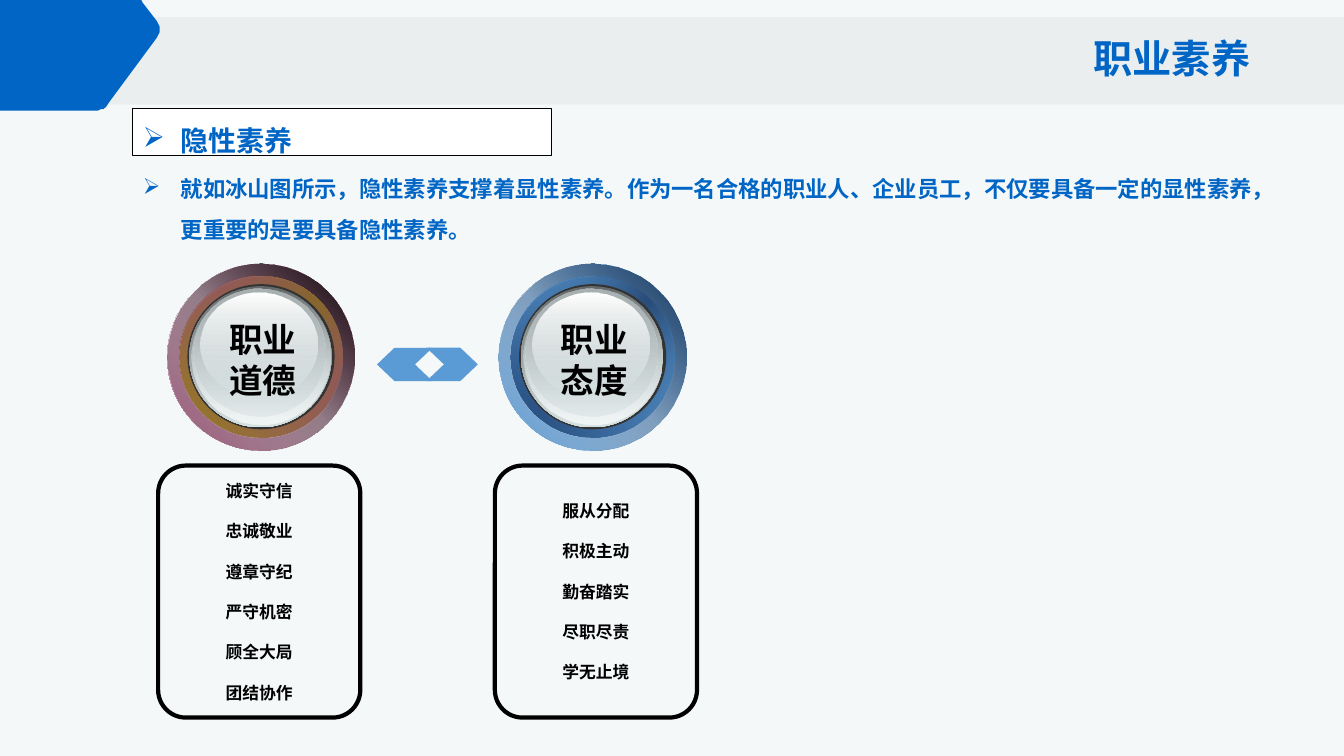
import pptx
import pptx.util
import pptx.dml.color
import pptx.enum.shapes
import pptx.enum.text
import pptx.oxml
import pptx.oxml.ns

Pt = pptx.util.Pt
MSO = pptx.enum.shapes.MSO_SHAPE
ANCHOR = pptx.enum.text.MSO_ANCHOR
ALIGN = pptx.enum.text.PP_ALIGN
A_NS = pptx.oxml.ns.nsdecls("a")

# Content
BLUE, SKY, BLACK, WHITE = "0065C4", "5B9BD5", "000000", "FFFFFF"
CJK = "Noto Sans CJK SC"
TITLE = "职业素养"
HEADING = "隐性素养"
INTRO = ("就如冰山图所示，隐性素养支撑着显性素养。作为一名合格的职业人、企业员工，"
         "不仅要具备一定的显性素养，更重要的是要具备隐性素养。")
TOPICS = [
    dict(name=["职业", "道德"], ring_x=119.5, box_x=113,
         items=["诚实守信", "忠诚敬业", "遵章守纪", "严守机密", "顾全大局", "团结协作"],
         main="954F72", shade=(BLACK, 90), middle="846A22", glow="9A7D28"),
    dict(name=["职业", "态度"], ring_x=356.4, box_x=353.5,
         items=["服从分配", "积极主动", "勤奋踏实", "尽职尽责", "学无止境"],
         main=SKY, shade=("1D385C", 100), middle="22416B", glow="274C7E"),
]
RING_Y = 188.6
# Button layers: inset from the ring's left and top, width, height
OUTER, INNER = (0, 0, 133.9, 133.2), (8.6, 8.6, 116.6, 115.2)
FACE_EDGE = (14.4, 14.4, 105.1, 103.7)
FACE = [  # stops: position, colour, opacity
    ((15.8, 15.8, 101.5, 100.8), [(0, "636869", 100), (100, "D6E1E2", 100)]),
    ((17.3, 16.6, 99.4, 97.9), [(0, "D6E1E2", 0), (100, "F1F5F5", 100)]),
    ((18.7, 17.3, 94.3, 91.4), [(0, "AAB2B3", 100), (100, "D6E1E2", 48)]),
    ((23.8, 20.2, 83.5, 74.2), [(0, WHITE, 100), (100, "D6E1E2", 38)]),
]
CHEVRONS = [(304.6, 36.7, 0), (269.3, 39.6, 180)]  # left, width, rotation


def rgb(value):
    return pptx.dml.color.RGBColor.from_string(value)


def color_xml(value, opacity):
    return f'<a:srgbClr val="{value}"><a:alpha val="{opacity * 1000}"/></a:srgbClr>'


def paint(sp, fill=None, opacity=100, line=None, width=0):
    sp.shadow.inherit = False
    if fill:
        sp.fill.solid()
        sp.fill.fore_color.rgb = rgb(fill)
        if opacity < 100:
            clr = sp.fill._xPr.find(".//" + pptx.oxml.ns.qn("a:srgbClr"))
            clr.append(pptx.oxml.parse_xml(f'<a:alpha {A_NS} val="{opacity * 1000}"/>'))
    else:
        sp.fill.background()
    if line:
        sp.line.color.rgb = rgb(line)
        sp.line.width = Pt(width)
    else:
        sp.line.fill.background()
    return sp


def add(kind, box, **style):
    return paint(s.shapes.add_shape(kind, *map(Pt, box)), **style)


def gradient_oval(box, stops, angle):
    sp = add(MSO.OVAL, box)
    stop_xml = "".join(f'<a:gs pos="{pos * 1000}">{color_xml(c, o)}</a:gs>'
                       for pos, c, o in stops)
    grad = pptx.oxml.parse_xml(
        f'<a:gradFill {A_NS} rotWithShape="1"><a:gsLst>{stop_xml}</a:gsLst>'
        f'<a:lin ang="{angle * 60000}" scaled="0"/></a:gradFill>')
    no_fill = sp._element.spPr.find(pptx.oxml.ns.qn("a:noFill"))
    no_fill.getparent().replace(no_fill, grad)


def write(sp, lines, size, color, font, align=ALIGN.LEFT, anchor=ANCHOR.TOP, wrap=True):
    tf = sp.text_frame
    tf.word_wrap = wrap
    tf.vertical_anchor = anchor
    tf.text = "\n".join(lines)
    for p in tf.paragraphs:
        p.alignment = align
        p.font.size, p.font.bold, p.font.name = Pt(size), True, font
        p.font.color.rgb = rgb(color)
        p.font._element.append(pptx.oxml.parse_xml(f'<a:ea {A_NS} typeface="{CJK}"/>'))
    return tf


def bullet(tf):
    p = tf.paragraphs[0]
    p.line_spacing = 1.5
    pPr = p._p.get_or_add_pPr()
    pPr.set("marL", str(Pt(27)))
    pPr.set("indent", str(-Pt(27)))
    pPr.find(pptx.oxml.ns.qn("a:defRPr")).addprevious(
        pptx.oxml.parse_xml(f'<a:buChar {A_NS} char="➢"/>'))


def curve(a, b, c, d, steps=6):
    for i in range(steps + 1):
        t = i / steps
        u = 1 - t
        yield tuple(u**3 * a[k] + 3 * u * u * t * b[k] + 3 * u * t * t * c[k] + t**3 * d[k]
                    for k in (0, 1))


prs = pptx.Presentation()
prs.slide_width, prs.slide_height = Pt(960), Pt(540)
s = prs.slides.add_slide(prs.slide_layouts[5])

# Background, header band and corner flag
add(MSO.RECTANGLE, (0, 0, 960, 540), fill="EAF2F5", opacity=50)
add(MSO.RECTANGLE, (0, 12.2, 960, 62.6), fill="3D3E3E", opacity=5)
outline = [(0, 79.2),
           *curve((66.2, 79.2), (69.8, 79.2), (74.2, 77.8), (76.3, 75.6)),
           (78.5, 73.4),
           *curve((112.3, 26.6), (114.5, 23), (114.5, 18.7), (111.6, 15.1)),
           (102.2, 2.2), (100.8, 0)]
builder = s.shapes.build_freeform(0, 0, scale=Pt(1))
builder.add_line_segments(outline)
paint(builder.convert_to_shape(), fill="0165C5")

# Heading and introduction
heading = add(MSO.RECTANGLE, (95, 77.8, 298.8, 33.1), fill=WHITE, line=BLACK, width=0.75)
bullet(write(heading, [HEADING], 20, BLUE, CJK, anchor=ANCHOR.MIDDLE))
intro = s.shapes.add_textbox(*map(Pt, (95, 112.3, 833.8, 65.5)))
bullet(write(intro, [INTRO], 16, BLUE, CJK))

# Topics: list box, glossy button, name
for topic in TOPICS:
    box = add(MSO.ROUNDED_RECTANGLE, (topic["box_x"], 332.6, 144.4, 180), line=BLACK, width=3)
    box.adjustments[0] = 0.137
    tf = write(box, topic["items"], 12, BLACK, "DejaVu Sans", ALIGN.CENTER, ANCHOR.MIDDLE)
    for i, p in enumerate(tf.paragraphs):
        p.line_spacing = Pt(14.4)
        p.space_before = Pt(14.4 if i else 0)

    def place(layer):
        dx, dy, w, h = layer
        return topic["ring_x"] + dx, RING_Y + dy, w, h

    main = topic["main"]
    for layer, angle, stops in [
        (OUTER, 315, [(0, main, 100), (50, WHITE, 100), (100, main, 100)]),
        (OUTER, 315, [(0, main, 32), (100, *topic["shade"])]),
        (INNER, 45, [(0, main, 100), (50, topic["middle"], 100), (100, main, 100)]),
        (INNER, 315, [(0, topic["glow"], 100), (100, main, 0)]),
    ]:
        gradient_oval(place(layer), stops, angle)
    add(MSO.OVAL, place(FACE_EDGE), fill="333333")
    for layer, stops in FACE:
        gradient_oval(place(layer), stops, 90)
    name = s.shapes.add_textbox(*map(Pt, place((37, 36, 63.4, 65.5))))
    write(name, topic["name"], 24, BLACK, "Arial", wrap=False)

# Double arrow between the buttons
for left, width, rotation in CHEVRONS:
    chevron = add(MSO.CHEVRON, (left, 248.4, width, 23.8), fill=SKY)
    chevron.adjustments[0] = 0.525
    chevron.rotation = rotation

# Title, in front of the header band
title = s.shapes.title
title.left, title.top, title.width, title.height = map(Pt, (774, 20.9, 130.3, 44.6))
write(title, [TITLE], 28, BLUE, CJK)
s.shapes._spTree.append(title._element)

prs.save("out.pptx")
